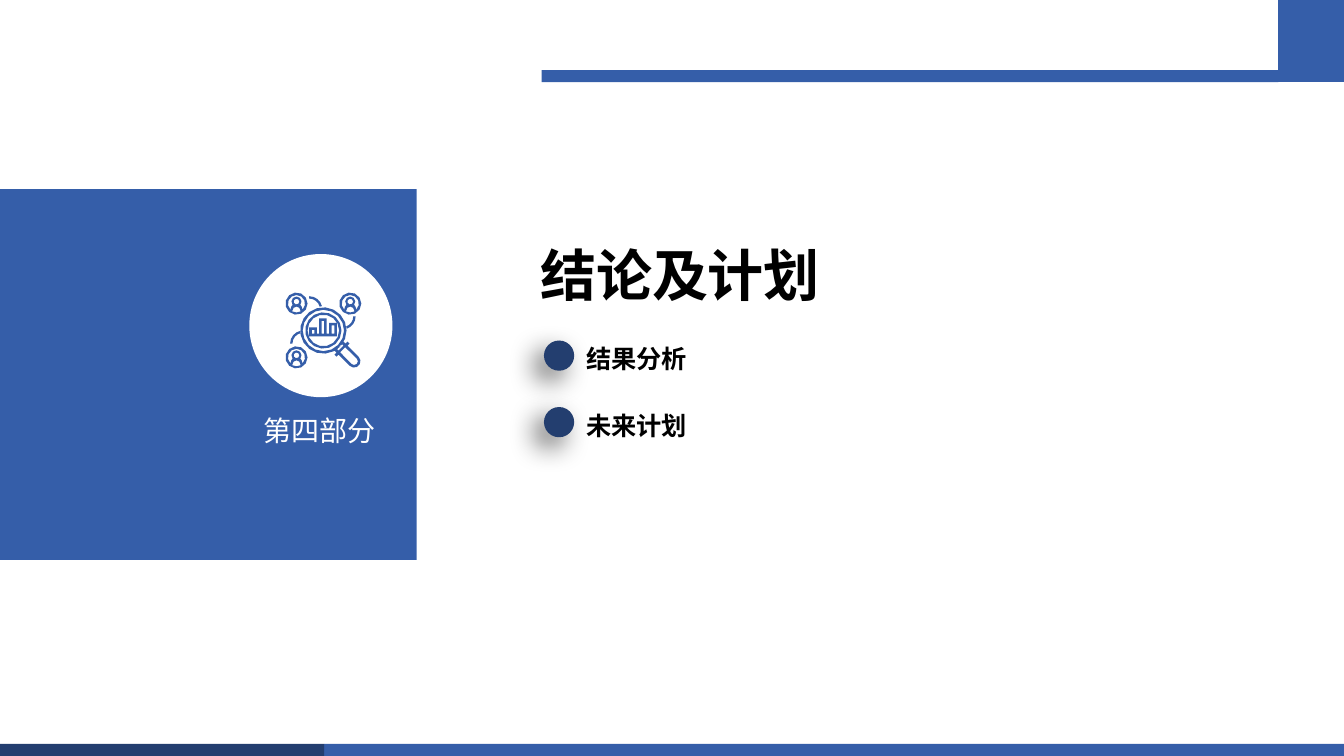
import dataclasses
import math
import typing

import pptx
import pptx.dml.color
import pptx.enum.shapes
import pptx.enum.text
import pptx.oxml
import pptx.oxml.ns
import pptx.util

COLUMNS, ROWS = 160, 90
SLIDE_WIDTH = pptx.util.Inches(13.33)
SLIDE_HEIGHT = pptx.util.Inches(7.5)
BLUE, NAVY, WHITE, BLACK = "355EA9", "233E6F", "FFFFFF", "000000"
SERIF, CHINESE = "Times New Roman", "Noto Sans CJK SC"
RECTANGLE = pptx.enum.shapes.MSO_SHAPE.RECTANGLE
OVAL = pptx.enum.shapes.MSO_SHAPE.OVAL
LENS_COLUMN, LENS_ROW = 38.5, 39.35
BAND = 1.44
ITEM_PITCH = 7.92
NAMESPACE = pptx.oxml.ns.nsdecls("a")
SHADOW = (
    f'<a:effectLst {NAMESPACE}><a:outerShdw blurRad="254000" dist="127000" dir="8100000" '
    'algn="tr" rotWithShape="0"><a:srgbClr val="000000"><a:alpha val="60000"/></a:srgbClr>'
    "</a:outerShdw></a:effectLst>"
)
Point = tuple[float, float]
Contour = list[Point]


@dataclasses.dataclass(frozen=True)
class Box:
    column: float
    row: float
    columns: float
    rows: float
    color: str = BLUE


@dataclasses.dataclass(frozen=True)
class Label:
    text: str
    box: Box
    size: int
    font: str
    bold: bool = True
    wrap: bool = False
    inset: bool = True


@dataclasses.dataclass(frozen=True)
class Arc:
    column: float
    row: float
    radius: float
    start: float = 0
    end: float = 360


BANDS = [
    Box(64.48, 8.35, 87.72, BAND),
    Box(152.16, 0, 7.84, 9.76),
    Box(38.6, ROWS - BAND, 121.4, BAND),
    Box(0, ROWS - BAND, 38.6, BAND, NAVY),
    Box(0, 22.5, 49.6, 44.17),
]
LABELS = [
    Label("结论及计划", Box(63.12, 28.04, 36.24, 9.24, BLACK), 40, SERIF),
    Label("第四部分", Box(31.4, 49.26, 16.32, 4.08, WHITE), 20, CHINESE, False, True, False),
]
ITEMS = ["结果分析", "未来计划"]
LENS_RADII = [2.76, 2.46, 2.16, 1.88]
BADGES = [(-3.2, -3.2), (3.2, -3.2), (-3.2, 3.2)]
ARM_WIDTH = 0.28
ARMS = [
    Arc(-1.68, -2.52, 1.56, -90, -14),
    Arc(2.28, -1.68, 1.56, 0, 70),
    Arc(-2.4, 1.56, 1.56, 180, 260),
]
BARS = [(-1.68, -0.36), (-0.5, -1.44), (0.7, -0.9)]
BAR_WIDTH, BAR_EDGE, BAR_BASE = 0.9, 0.3, 0.36
HANDLE_SIDE = [(4.2, 3.12), (2.88, 1.8), (3.12, 1.56), (2.88, 1.32), (2.64, 1.56), (2.4, 1.32)]


def across(columns: float) -> int:
    return round(SLIDE_WIDTH * columns / COLUMNS)


def down(rows: float) -> int:
    return round(SLIDE_HEIGHT * rows / ROWS)


def frame(box: Box) -> tuple[int, int, int, int]:
    return across(box.column), down(box.row), across(box.columns), down(box.rows)


def rgb(color: str) -> pptx.dml.color.RGBColor:
    return pptx.dml.color.RGBColor.from_string(color)


def apply(target: typing.Any, values: dict[str, typing.Any]) -> None:
    for name, value in values.items():
        setattr(target, name, value)


def paint(shape: typing.Any, color: str) -> None:
    shape.shadow.inherit = False
    shape.fill.solid()
    shape.fill.fore_color.rgb = rgb(color)
    shape.line.fill.background()


def draw_solid(slide: typing.Any, kind: typing.Any, box: Box) -> typing.Any:
    shape = slide.shapes.add_shape(kind, *frame(box))
    paint(shape, box.color)
    return shape


def draw_label(slide: typing.Any, label: Label) -> None:
    text_frame = slide.shapes.add_textbox(*frame(label.box)).text_frame
    text_frame.word_wrap = label.wrap
    text_frame.auto_size = pptx.enum.text.MSO_AUTO_SIZE.SHAPE_TO_FIT_TEXT
    if not label.inset:
        sides = ("margin_left", "margin_top", "margin_right", "margin_bottom")
        apply(text_frame, dict.fromkeys(sides, 0))
    run = text_frame.paragraphs[0].add_run()
    run.text = label.text
    apply(run.font, {"name": label.font, "size": pptx.util.Pt(label.size), "bold": label.bold})
    run.font.color.rgb = rgb(label.box.color)
    east_asian = pptx.oxml.parse_xml(f'<a:ea {NAMESPACE} typeface="{CHINESE}"/>')
    run.font._element.find(pptx.oxml.ns.qn("a:latin")).addnext(east_asian)


def arc_points(arc: Arc) -> Contour:
    sweep = arc.end - arc.start
    steps = max(4, round(abs(sweep) * (6 + 4 * arc.radius) / 360))
    angles = [math.radians(arc.start + sweep * step / steps) for step in range(steps + 1)]
    return [
        (arc.column + arc.radius * math.cos(angle), arc.row + arc.radius * math.sin(angle))
        for angle in angles
    ]


def rectangle(left: float, top: float, right: float, bottom: float) -> Contour:
    return [(left, top), (right, top), (right, bottom), (left, bottom)]


def badge_contours(column: float, row: float) -> list[Contour]:
    head = row - 0.24
    around_person = arc_points(Arc(column, row, 1.02, 135, 405))
    around_person += [(column + 0.62, row + 0.36), *arc_points(Arc(column, head, 0.6, 40, -220))]
    around_person.append((column - 0.62, row + 0.36))
    body = [(column - 0.48, row + 0.94), *arc_points(Arc(column, row + 0.84, 0.48, 180, 360))]
    body += [(column + 0.48, row + 0.94), (column, row + 1.06)]
    outline = arc_points(Arc(column, row, 1.32))
    return [outline, around_person, arc_points(Arc(column, head, 0.34)), body]


def arm_contour(arm: Arc) -> Contour:
    inner = dataclasses.replace(arm, radius=arm.radius - ARM_WIDTH)
    return arc_points(arm) + arc_points(inner)[::-1]


def bar_contours(left: float, top: float) -> list[Contour]:
    right = left + BAR_WIDTH
    return [
        rectangle(left, top, right, BAR_BASE),
        rectangle(left + BAR_EDGE, top + BAR_EDGE, right - BAR_EDGE, BAR_BASE),
    ]


def handle_contours() -> list[Contour]:
    other_side = [(row, column) for column, row in HANDLE_SIDE]
    outline = HANDLE_SIDE + arc_points(Arc(0, 0, LENS_RADII[0], 30, 60)) + other_side[::-1]
    outline += arc_points(Arc(3.66, 3.66, 0.76, 135, -45))
    grip = [(2.6, 2), *arc_points(Arc(3.66, 3.66, 0.45, -45, 135)), (2, 2.6)]
    collar = [(1.8, 2.4), (2.4, 1.8), (2.2, 1.6), (1.6, 2.2)]
    return [outline, grip, collar]


def icon_contours() -> list[Contour]:
    contours = [arc_points(Arc(0, 0, radius)) for radius in LENS_RADII]
    for badge in BADGES:
        contours += badge_contours(*badge)
    contours += [arm_contour(arm) for arm in ARMS]
    for bar in BARS:
        contours += bar_contours(*bar)
    contours.append(rectangle(-1.68, BAR_BASE, 1.6, 0.7))
    return contours + handle_contours()


def draw_icon(slide: typing.Any) -> None:
    draw_solid(slide, OVAL, Box(29.68, 30.24, 17.04, 17.04, WHITE))
    contours = [
        [(across(LENS_COLUMN + column), down(LENS_ROW + row)) for column, row in contour]
        for contour in icon_contours()
    ]
    builder = slide.shapes.build_freeform(*contours[0][0])
    builder.add_line_segments(contours[0][1:], close=True)
    for contour in contours[1:]:
        builder.move_to(*contour[0])
        builder.add_line_segments(contour[1:], close=True)
    paint(builder.convert_to_shape(), BLUE)


def draw_item(slide: typing.Any, index: int, text: str) -> None:
    offset = index * ITEM_PITCH
    draw_label(slide, Label(text, Box(68.6, 40.3 + offset, 14.64, 4.8, BLACK), 18, SERIF))
    bullet = draw_solid(slide, OVAL, Box(64.76, 40.54 + offset, 3.6, 3.6, NAVY))
    properties = bullet._element.spPr
    properties.remove(properties.find(pptx.oxml.ns.qn("a:effectLst")))
    properties.append(pptx.oxml.parse_xml(SHADOW))


def main() -> None:
    presentation = pptx.Presentation()
    apply(presentation, {"slide_width": SLIDE_WIDTH, "slide_height": SLIDE_HEIGHT})
    slide = presentation.slides.add_slide(presentation.slide_layouts[6])
    for band in BANDS:
        draw_solid(slide, RECTANGLE, band)
    for label in LABELS:
        draw_label(slide, label)
    draw_icon(slide)
    for index, text in enumerate(ITEMS):
        draw_item(slide, index, text)
    presentation.save("out.pptx")


if __name__ == "__main__":
    main()
